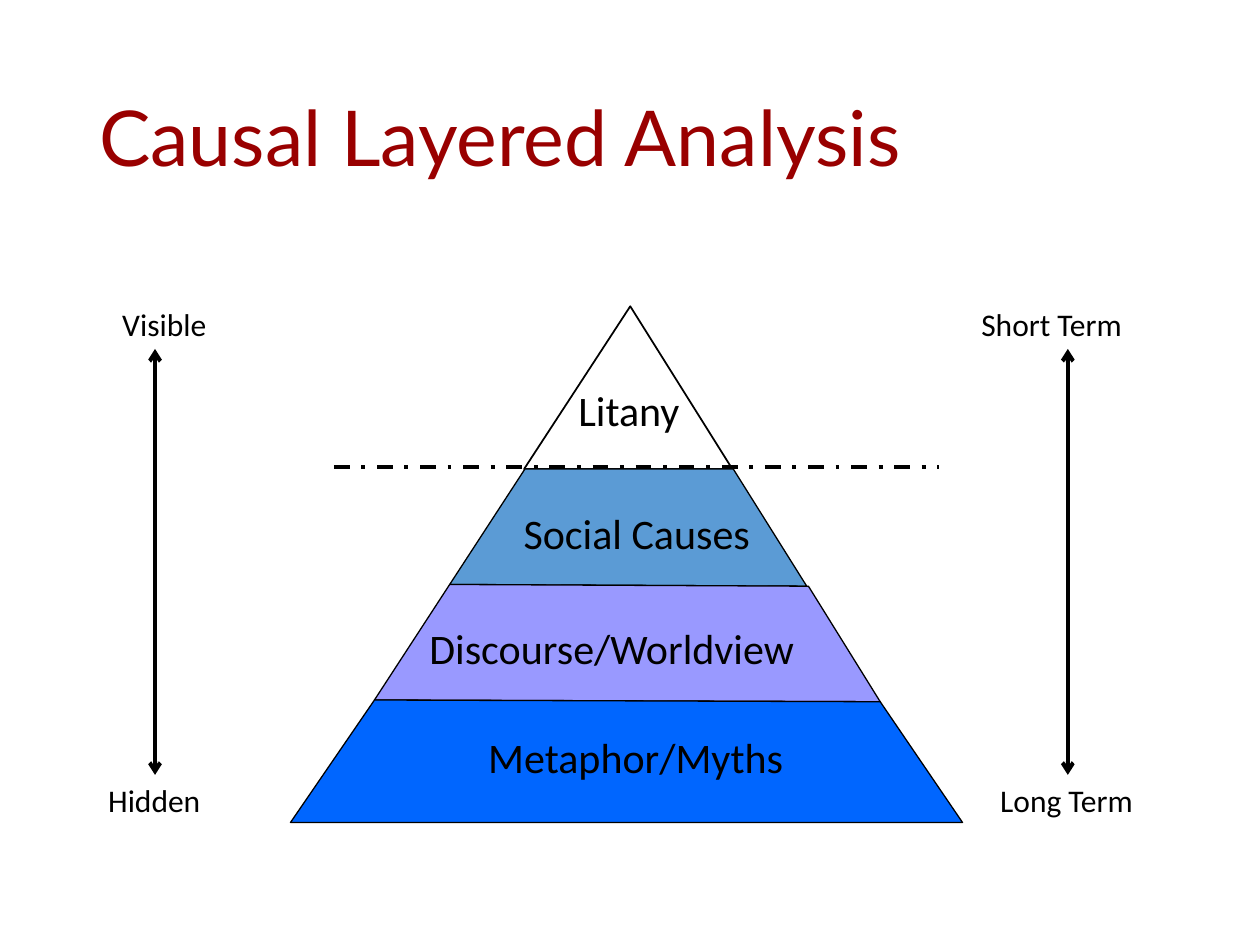
import pptx
import pptx.util
import pptx.dml.color
import pptx.enum.dml
import pptx.enum.shapes
import pptx.enum.text
import pptx.oxml
import pptx.oxml.ns

Pt = pptx.util.Pt
ALIGN = pptx.enum.text.PP_ALIGN
COLORS = {"ink": "000000", "title": "990000", "litany": "FFFFFF",
          "social": "5B9BD5", "worldview": "9999FF", "myths": "0066FF"}


def rgb(name):
    return pptx.dml.color.RGBColor.from_string(COLORS[name])


def write(frame, text, size=18, font="Calibri", color="ink", align=ALIGN.LEFT,
          anchor=pptx.enum.text.MSO_ANCHOR.TOP, spacing=1.0):
    frame.word_wrap = True
    frame.vertical_anchor = anchor
    paragraph = frame.paragraphs[0]
    paragraph.alignment = align
    paragraph.line_spacing = spacing
    run = paragraph.add_run()
    run.text = text
    run.font.size = Pt(size)
    run.font.name = font
    run.font.color.rgb = rgb(color)


deck = pptx.Presentation()
deck.slide_width, deck.slide_height = Pt(720), Pt(540)
slide = deck.slides.add_slide(deck.slide_layouts[5])
shapes = slide.shapes

# Title
title = shapes.title
title.left, title.top, title.width, title.height = Pt(49.5), Pt(28.8), Pt(621), Pt(104.4)
write(title.text_frame, "Causal Layered Analysis", size=44, font="Lato", color="title",
      anchor=pptx.enum.text.MSO_ANCHOR.MIDDLE, spacing=0.9)

# Pyramid: the tip, then the bands below it, each with its corners from bottom left
tip = shapes.add_shape(pptx.enum.shapes.MSO_SHAPE.ISOSCELES_TRIANGLE,
                       Pt(299.5), Pt(175), Pt(119), Pt(93))
tip.adjustments[0] = 0.51
layers = [(tip, "litany", 1)]
bands = [
    ("social", [(257, 334), (299.5, 267.8), (419, 268.5), (461, 334.8)]),
    ("worldview", [(214.5, 400.3), (257, 334), (461.5, 334.8), (503.3, 401)]),
    ("myths", [(166.3, 469.6), (214, 400.3), (502.6, 400.8), (550.1, 469.6)]),
]
for color, corners in bands:
    outline = shapes.build_freeform(*corners[0], scale=Pt(1))
    outline.add_line_segments(corners[1:], close=True)
    layers.append((outline.convert_to_shape(), color, 0.75))
for layer, color, weight in layers:
    layer.shadow.inherit = False
    layer.fill.solid()
    layer.fill.fore_color.rgb = rgb(color)
    layer.line.color.rgb = rgb("ink")
    layer.line.width = Pt(weight)

# Layer names and the ends of the two scales
labels = {}
for text, left, top, width, size, align in [
    ("Litany", 284.4, 216, 150, 24, ALIGN.CENTER),
    ("Social Causes", 249.8, 286.6, 228.2, 24, ALIGN.CENTER),
    ("Discourse/Worldview", 238.3, 352.1, 244, 24, ALIGN.LEFT),
    ("Metaphor/Myths", 207.4, 414.7, 311.8, 24, ALIGN.CENTER),
    ("Visible", 37.4, 170.6, 113, 18, ALIGN.CENTER),
    ("Hidden", 31.7, 442.8, 113, 18, ALIGN.CENTER),
    ("Short Term", 553.7, 170.6, 113, 18, ALIGN.LEFT),
    ("Long Term", 564.5, 442.8, 113, 18, ALIGN.LEFT),
]:
    label = shapes.add_textbox(Pt(left), Pt(top), Pt(width), Pt(size * 1.2 + 7.2))
    write(label.text_frame, text, size=size, align=align)
    labels[text] = label

# Scale arrows on both sides and the dashed waterline
for kind, start, end in [
    ("visibility", (88.6, 199.4), (88.6, 442.8)),
    ("time", (610.2, 199.4), (610.2, 442.8)),
    ("waterline", (190.8, 267.1), (536.4, 267.1)),
]:
    line = shapes.add_connector(pptx.enum.shapes.MSO_CONNECTOR.STRAIGHT,
                                *[Pt(value) for value in start + end])
    line.line.color.rgb = rgb("ink")
    line.line.width = Pt(2.25)
    if kind == "waterline":
        line.line.dash_style = pptx.enum.dml.MSO_LINE.DASH_DOT
    else:
        for tag in ("a:headEnd", "a:tailEnd"):
            arrowhead = pptx.oxml.parse_xml(
                f'<{tag} {pptx.oxml.ns.nsdecls("a")} type="arrow"/>')
            line.line._get_or_add_ln().append(arrowhead)
    if kind == "time":
        line.begin_connect(labels["Short Term"], 2)
    line._element.spPr.append(
        pptx.oxml.parse_xml(f'<a:effectLst {pptx.oxml.ns.nsdecls("a")}/>'))

deck.save("out.pptx")
